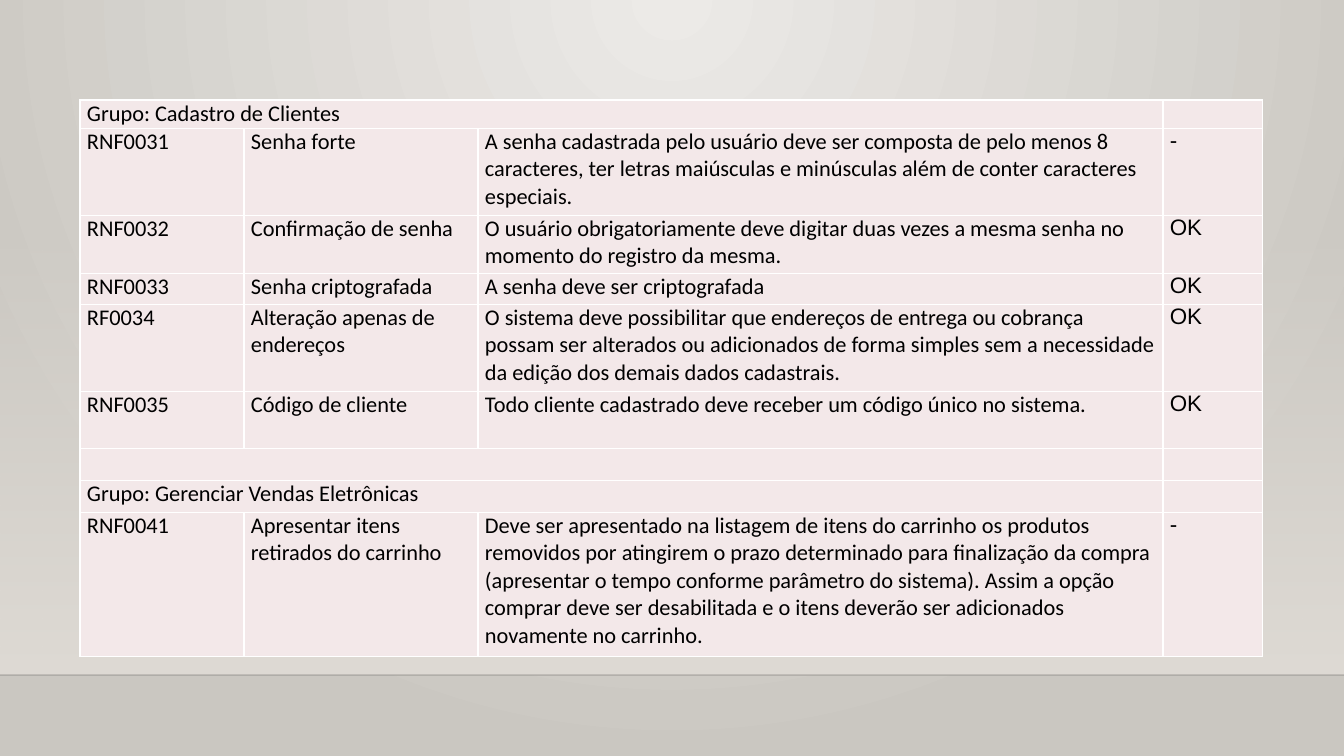
from lxml.etree import SubElement as Sub
from pptx import Presentation
from pptx.dml.color import RGBColor as RGB
from pptx.enum.shapes import MSO_CONNECTOR as Link, MSO_SHAPE as Shape
from pptx.oxml.ns import qn
from pptx.util import Pt

PX = 914400 / 100.8
WIDE, HIGH = 1344, 756
FLOOR = 675
BLACK = RGB(0, 0, 0)
INK = RGB(0, 0, 1)
WHITE = RGB(255, 255, 255)
ROSE = RGB(0xF3, 0xE8, 0xE9)
LIGHT = RGB(0xEC, 0xEA, 0xE7)
STONE = RGB(0xCA, 0xC7, 0xC1)
SAND = RGB(0xDF, 0xDB, 0xD5)


def px(num):
    return round(num * PX)


def write(cell, text, font="Calibri", size=16, color=BLACK, after=0):
    cell.margin_left = cell.margin_right = px(7)
    cell.margin_top = cell.margin_bottom = 0
    para = cell.text_frame.paragraphs[0]
    para.space_after = Pt(after)
    run = para.add_run()
    run.text = text
    run.font.name = font
    run.font.size = Pt(size)
    run.font.color.rgb = color


deck = Presentation()
deck.slide_width, deck.slide_height = px(WIDE), px(HIGH)
slide = deck.slides.add_slide(deck.slide_layouts[6])

back = slide.background.fill
back.gradient()
for stop, color in zip(back.gradient_stops, (LIGHT, STONE)):
    stop.color.rgb = color
grad = slide.element.find(".//" + qn("a:gradFill"))
grad.remove(grad.find(qn("a:lin")))
glow = Sub(grad, qn("a:path"), path="circle")
Sub(glow, qn("a:fillToRect"), l="43000", t="0", r="43000", b="100000")

wall = slide.shapes.add_shape(Shape.RECTANGLE, 0, px(223), px(WIDE), px(FLOOR - 223))
wall.shadow.inherit = False
wall.line.fill.background()
wall.fill.gradient()
wall.fill.gradient_angle = 270
for stop in wall.fill.gradient_stops:
    stop.color.rgb = SAND
clear = wall.element.find(".//" + qn("a:srgbClr"))
Sub(clear, qn("a:alpha"), val="0")

edge = slide.shapes.add_connector(Link.STRAIGHT, 0, px(FLOOR), px(WIDE), px(FLOOR))
edge.line.color.rgb = INK
edge.line.width = Pt(1)
Sub(edge.element.find(".//" + qn("a:srgbClr")), qn("a:alpha"), val="20000")
Sub(edge.element.spPr, qn("a:effectLst"))

rows = [
    (27, ["Grupo: Cadastro de Clientes"]),
    (87, ["RNF0031", "Senha forte",
          "A senha cadastrada pelo usuário deve ser composta de pelo menos 8 "
          "caracteres, ter letras maiúsculas e minúsculas além de conter "
          "caracteres especiais.", "-"]),
    (58, ["RNF0032", "Confirmação de senha",
          "O usuário obrigatoriamente deve digitar duas vezes a mesma senha no "
          "momento do registro da mesma.", "OK"]),
    (31, ["RNF0033", "Senha criptografada", "A senha deve ser criptografada", "OK"]),
    (87, ["RF0034", "Alteração apenas de endereços",
          "O sistema deve possibilitar que endereços de entrega ou cobrança "
          "possam ser alterados ou adicionados de forma simples sem a "
          "necessidade da edição dos demais dados cadastrais.", "OK"]),
    (57, ["RNF0035", "Código de cliente",
          "Todo cliente cadastrado deve receber um código único no sistema.", "OK"]),
    (32, [""]),
    (32, ["Grupo: Gerenciar Vendas Eletrônicas"]),
    (144, ["RNF0041", "Apresentar itens retirados do carrinho",
           "Deve ser apresentado na listagem de itens do carrinho os produtos "
           "removidos por atingirem o prazo determinado para finalização da compra "
           "(apresentar o tempo conforme parâmetro do sistema). Assim a opção "
           "comprar deve ser desabilitada e o itens deverão ser adicionados "
           "novamente no carrinho.", "-"]),
]
cols = [164, 234, 685, 100]
tall = sum(high for high, texts in rows)
frame = slide.shapes.add_table(len(rows), len(cols), px(80), px(100), px(sum(cols)), px(tall))
table = frame.table
table.first_row = table.horz_banding = False
for col, wide in zip(table.columns, cols):
    col.width = px(wide)

for at, (high, texts) in enumerate(rows):
    table.rows[at].height = px(high)
    group = len(texts) == 1
    if group:
        table.cell(at, 0).merge(table.cell(at, 2))
        texts = texts + [""] * 3
    for col, text in enumerate(texts):
        cell = table.cell(at, col)
        font = "Arial" if col == 3 else "Calibri"
        write(cell, text, font=font, after=6 if group and text else 0)
        props = cell._tc.get_or_add_tcPr()
        for side in ("lnL", "lnR", "lnT", "lnB"):
            line = Sub(props, qn("a:" + side), w=str(Pt(1)))
            fill = Sub(line, qn("a:solidFill"))
            Sub(fill, qn("a:srgbClr"), val=str(WHITE))
        cell.fill.solid()
        cell.fill.fore_color.rgb = ROSE

deck.save("out.pptx")
